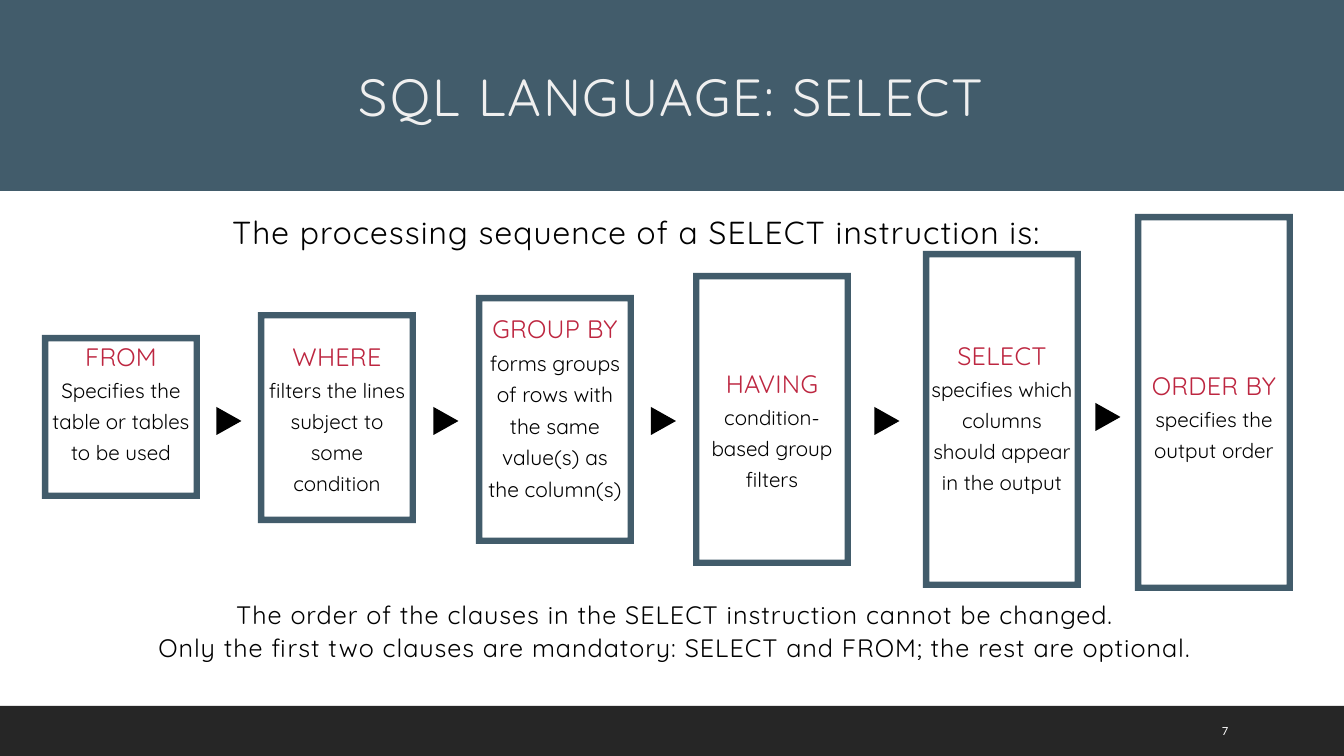
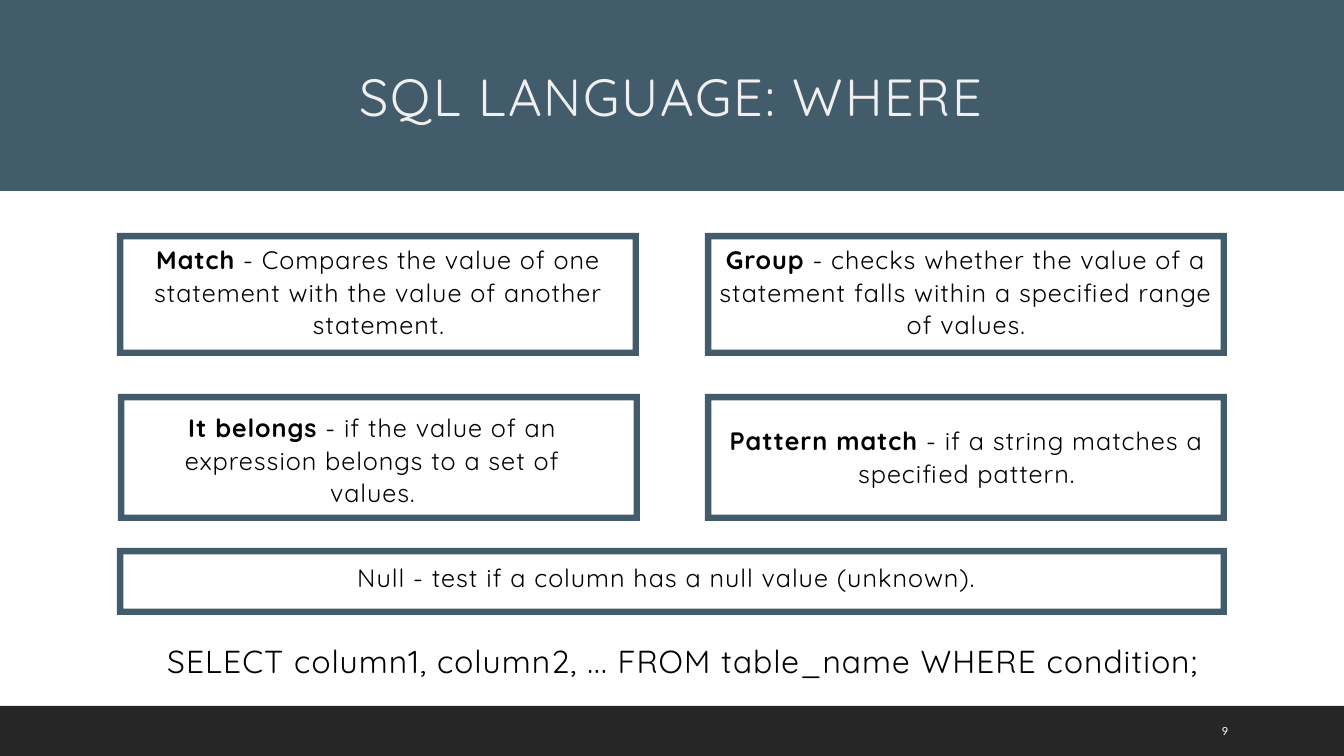
from pptx import Presentation
from pptx.dml.color import RGBColor
from pptx.enum.shapes import MSO_SHAPE as Shape
from pptx.enum.text import MSO_ANCHOR as Anchor, MSO_AUTO_SIZE as AutoSize, PP_ALIGN as Align
from pptx.util import Emu, Pt

WIDTH, HEIGHT = 1344, 756
EMU_PER_PX = 12192000 / WIDTH
COLORS = {"slate": "425C6B", "footer": "262626", "title": "EFEFEF",
          "clause": "BD2640", "ink": "000000", "white": "FFFFFF"}

STYLES = {
    "title": dict(size=37.3, leading=46.7, color="title", tracking=130),
    "lead": dict(size=22.7, leading=28.3, tracking=80),
    "body": dict(size=18, leading=23.3, tracking=70),
    "clause": dict(size=18, leading=21.6, color="clause", tracking=20),
    "detail": dict(size=14.7, leading=22),
    "large detail": dict(size=15, leading=22.5),
    "number": dict(size=8, color="white", face="Lato", align=Align.LEFT),
}

TITLE_RECT = (200, 62, 943, 61)
NUMBER_RECT = (1222, 711, 76, 40)
BANDS = [((0, 0, WIDTH, 191), "slate"), ((0, 706, WIDTH, 50), "footer")]
BORDER = 6.4

CLAUSE_WIDTH, CLAUSE_TEXT_WIDTH, DETAIL_DROP = 158, 142, 31
ARROW_BASE, ARROW_LENGTH = 28, 25
CLAUSES = [
    ("FROM", "Specifies the table or tables to be used", "detail", 42, 335, 164, 341, 421),
    ("WHERE", "filters the lines subject to some condition", "detail", 258, 312, 211, 341, 421),
    ("GROUP BY", "forms groups of rows with the same value(s) as the column(s)",
     "large detail", 476, 295, 249, 313, 421),
    ("HAVING", "condition-based group filters", "detail", 693, 273, 293, 368, 421),
    ("SELECT", "specifies which columns should appear in the output",
     "detail", 923, 251, 337, 340, 421),
    ("ORDER BY", "specifies the output order", "detail", 1135, 214, 377, 370, 417),
]
SEQUENCE_INTRO = "The processing sequence of a SELECT instruction is:"
ORDER_RULES = [
    "The order of the clauses in the SELECT instruction cannot be changed.",
    "Only the first two clauses are mandatory: SELECT and FROM; the rest are optional.",
]

CONDITIONS = [
    ("Match", " - Compares the value of one statement with the value of another statement.",
     (117, 233, 522, 123), (131, 242, 495, 96)),
    ("Group", " - checks whether the value of a statement falls within a specified range of values.",
     (705, 233, 522, 123), (716, 242, 500, 96)),
    ("It belongs", " - if the value of an expression belongs to a set of values.",
     (118, 394, 522, 127), (162, 410, 421, 96)),
    ("Pattern match", " - if a string matches a specified pattern.",
     (705, 394, 522, 127), (711, 423, 511, 62)),
    ("", "Null - test if a column has a null value (unknown).",
     (117, 548, 1110, 67), (124, 560, 1085, 30)),
]
SYNTAX = "SELECT column1, column2, ... FROM table_name WHERE condition;"


def px(length):
    return Emu(round(length * EMU_PER_PX))


def place(shape, rect):
    shape.left, shape.top, shape.width, shape.height = map(px, rect)


def write(frame, paragraphs, size, leading=None, color="ink", tracking=0,
          face="Quicksand", align=Align.CENTER, anchor=Anchor.TOP):
    frame.word_wrap = True
    frame.auto_size = AutoSize.NONE
    frame.vertical_anchor = anchor
    frame.margin_left = frame.margin_right = frame.margin_top = frame.margin_bottom = 0
    for index, (term, text) in enumerate(paragraphs):
        paragraph = frame.add_paragraph() if index else frame.paragraphs[0]
        paragraph.alignment = align
        if leading:
            paragraph.line_spacing = Pt(leading)
        font = paragraph.font
        font.name, font.size = face, Pt(size)
        font.color.rgb = RGBColor.from_string(COLORS[color])
        paragraph._p.get_or_add_pPr().get_or_add_defRPr().set("spc", str(tracking))
        if term:
            lead = paragraph.add_run()
            lead.text, lead.font.bold = term, True
        paragraph.add_run().text = text


def add_text(slide, rect, style, *lines, term="", anchor=Anchor.TOP):
    box = slide.shapes.add_textbox(*map(px, rect))
    write(box.text_frame, [(term, line) for line in lines], anchor=anchor, **STYLES[style])


def add_solid(slide, kind, rect, color):
    shape = slide.shapes.add_shape(kind, *map(px, rect))
    shape.shadow.inherit = False
    shape.fill.solid()
    shape.fill.fore_color.rgb = RGBColor.from_string(COLORS[color])
    shape.line.fill.background()
    return shape


def add_frame(slide, rect):
    frame = add_solid(slide, Shape.FRAME, rect, "slate")
    frame.adjustments[0] = BORDER / min(rect[2:])


def add_slide(deck, title, number):
    slide = deck.slides.add_slide(deck.slide_layouts[5])
    for rect, color in BANDS:
        band = add_solid(slide, Shape.RECTANGLE, rect, color)
        slide.shapes.element.insert(2, band.element)
    place(slide.shapes.title, TITLE_RECT)
    write(slide.shapes.title.text_frame, [("", title)], **STYLES["title"])
    add_text(slide, NUMBER_RECT, "number", number, anchor=Anchor.MIDDLE)
    return slide


def build_select(deck):
    slide = add_slide(deck, "SQL LANGUAGE: SELECT", "7")
    add_text(slide, (191, 211, 891, 36), "lead", SEQUENCE_INTRO)
    add_text(slide, (6, 597, 1338, 62), "body", *ORDER_RULES)
    previous_right = None
    for clause, detail, style, left, top, height, text_top, arrow_y in CLAUSES:
        add_frame(slide, (left, top, CLAUSE_WIDTH, height))
        text_left = left + (CLAUSE_WIDTH - CLAUSE_TEXT_WIDTH) / 2
        detail_top = text_top + DETAIL_DROP
        add_text(slide, (text_left, text_top, CLAUSE_TEXT_WIDTH, 29), "clause", clause)
        add_text(slide, (text_left, detail_top, CLAUSE_TEXT_WIDTH, top + height - detail_top),
                 style, detail)
        if previous_right:
            arrow_x = (previous_right + left) / 2
            arrow = add_solid(slide, Shape.ISOSCELES_TRIANGLE,
                              (arrow_x - ARROW_BASE / 2, arrow_y - ARROW_LENGTH / 2,
                               ARROW_BASE, ARROW_LENGTH), "ink")
            arrow.rotation = 90
        previous_right = left + CLAUSE_WIDTH


def build_where(deck):
    slide = add_slide(deck, "SQL LANGUAGE: WHERE", "9")
    for term, meaning, frame_rect, text_rect in CONDITIONS:
        add_frame(slide, frame_rect)
        add_text(slide, text_rect, "body", meaning, term=term)
    add_text(slide, (22, 640, 1322, 36), "lead", SYNTAX)


def main():
    deck = Presentation()
    deck.slide_width, deck.slide_height = px(WIDTH), px(HEIGHT)
    build_select(deck)
    build_where(deck)
    deck.save("out.pptx")


if __name__ == "__main__":
    main()
